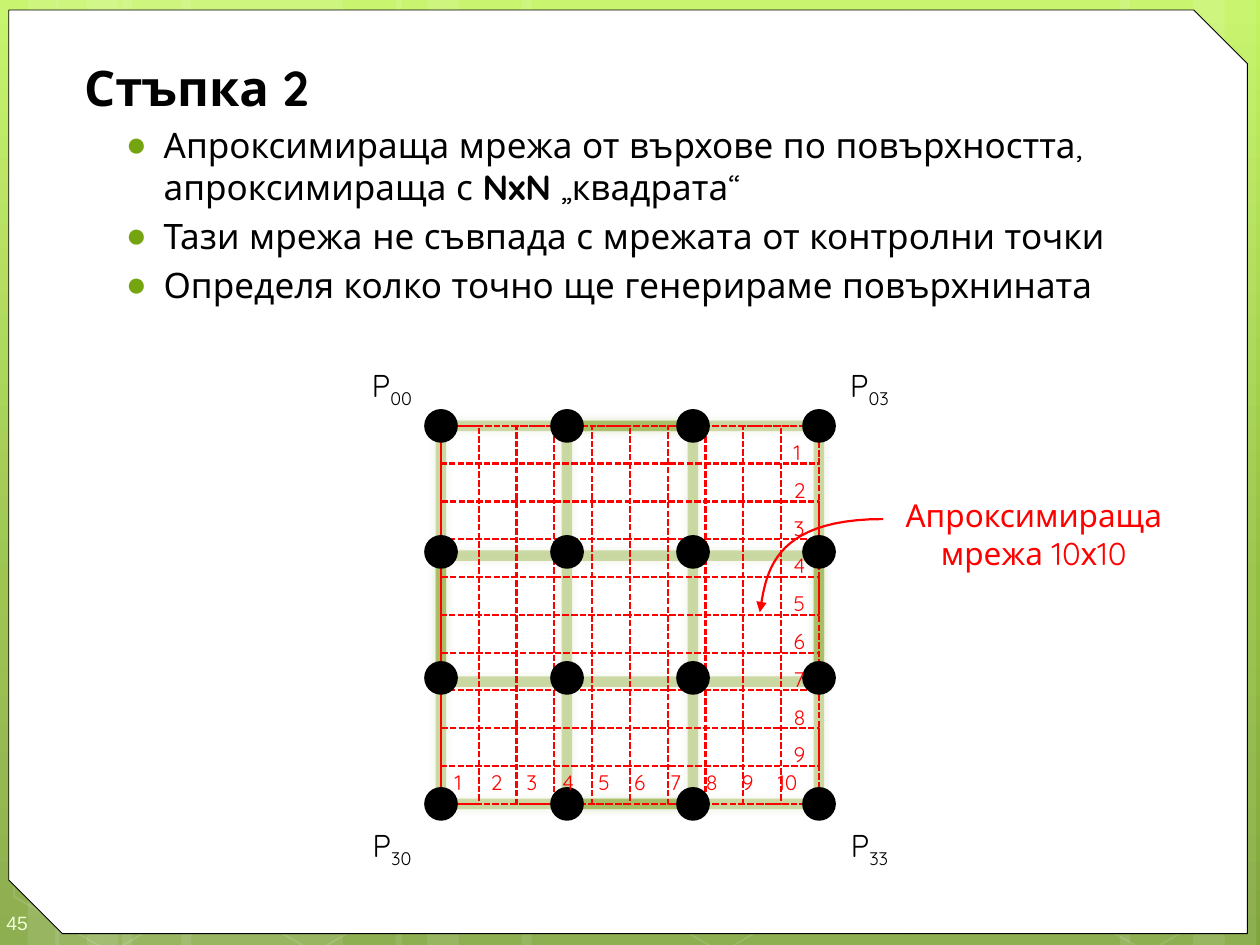
"""Build a slide on the approximating mesh of a surface patch."""
from copy import deepcopy

from lxml.etree import SubElement
from pptx import Presentation
from pptx.dml.color import RGBColor
from pptx.enum.dml import MSO_LINE
from pptx.enum.shapes import MSO_SHAPE
from pptx.enum.text import MSO_ANCHOR, PP_ALIGN
from pptx.oxml.ns import qn
from pptx.util import Inches, Pt

WHITE = RGBColor(0xFF, 0xFF, 0xFF)
BLACK = RGBColor(0x00, 0x00, 0x00)
RED = RGBColor(0xFF, 0x00, 0x00)
GREEN = RGBColor(0x6F, 0x95, 0x00)
PALE = RGBColor(0xEE, 0xFF, 0xD6)
BACKDROP = [(0, RGBColor(0xC3, 0xF3, 0x5F)), (0.62, RGBColor(0x93, 0xBF, 0x3F)),
            (1, RGBColor(0x81, 0xA5, 0x3E))]
BULLET = "74A510"

deck = Presentation()
deck.slide_width, deck.slide_height = Inches(10), Inches(7.5)
UNIT = deck.slide_width // 100
slide = deck.slides.add_slide(deck.slide_layouts[6])


def draw(kind, left, top, width, height, fill=None, line=None, weight=1.25,
         fill_alpha=100, line_alpha=100, dash=None):
    """Add a preset shape measured in grid units."""
    shape = slide.shapes.add_shape(
        kind, *(round(n * UNIT) for n in (left, top, width, height)))
    shape.shadow.inherit = False
    for paint, color, alpha in ((shape.fill, fill, fill_alpha),
                                (shape.line.fill, line, line_alpha)):
        if color is None:
            paint.background()
            continue
        paint.solid()
        paint.fore_color.rgb = color
        if alpha < 100:
            holder = shape._element.spPr if paint is shape.fill else shape.line._ln
            tone = holder.find(qn("a:solidFill"))[0]
            SubElement(tone, qn("a:alpha"), val=str(alpha * 1000))
    if line is not None:
        shape.line.width = Pt(weight)
        if dash:
            shape.line.dash_style = dash
    return shape


def write(text, left, top, width, height, size=12, color=BLACK, font="Quicksand",
          align=PP_ALIGN.LEFT, wrap=True, spacing=None, accent="bold"):
    """Add text by lines; parts between bars take the accent format."""
    frame = slide.shapes.add_textbox(
        *(round(n * UNIT) for n in (left, top, width, height))).text_frame
    frame.word_wrap = wrap
    for row, content in enumerate(text.split("\n")):
        paragraph = frame.add_paragraph() if row else frame.paragraphs[0]
        paragraph.alignment = align
        if spacing:
            paragraph.line_spacing = spacing
        for turn, part in enumerate(content.split("|")):
            if not part:
                continue
            run = paragraph.add_run()
            run.text = part
            run.font.name, run.font.size = font, Pt(size)
            run.font.color.rgb = color
            if turn % 2 and accent == "bold":
                run.font.bold = True
            elif turn % 2:
                run.font._element.set("baseline", "-25000")
    return frame


backdrop = slide.background.fill
backdrop.gradient()
backdrop.gradient_angle = 270
stops = slide._element.find(".//" + qn("a:gsLst"))
stops.append(deepcopy(stops[-1]))
for stop, (position, color) in zip(backdrop.gradient_stops, BACKDROP):
    stop.position = position
    stop.color.rgb = color

for left, width in ((9.7, 17.5), (0, 4.7), (2.2, 8.3), (14.4, 17.5), (4.4, 5),
                    (6.9, 8.3), (72.2, 17.5), (94.7, 5), (88.9, 8.3),
                    (41.4, 30.8), (31.4, 5), (33.9, 8.3)):
    draw(MSO_SHAPE.RECTANGLE, left, 0, width, 75, fill=WHITE, fill_alpha=10)
for left in (0, 16.2, 48.5, 82.3):
    hexagon = draw(MSO_SHAPE.HEXAGON, left, 59.2, 17.5, 15.2, line=WHITE,
                   weight=1, line_alpha=12)
    hexagon.adjustments[0] = 0.285
    hexagon.rotation = 30

panel = draw(MSO_SHAPE.SNIP_2_DIAG_RECTANGLE, 0.7, 0.8, 98.3, 73.3,
             fill=WHITE, line=BLACK, weight=0.5)
panel.adjustments[0], panel.adjustments[1] = 0, 0.058
number = write("45", 0, 71, 5.8, 4, size=11, color=PALE, font="Arial")
number.vertical_anchor = MSO_ANCHOR.MIDDLE
number.margin_left, number.margin_right = Inches(0.05), 0
number.margin_top, number.margin_bottom = Inches(0.15), Inches(0.1)

MESH_LEFT, MESH_TOP, MESH, PATCH, STEP = 35, 33.8, 30, 10, 3
for left, top, width, height in ((0, 0, MESH, MESH), (PATCH, 0, PATCH, MESH),
                                 (0, PATCH + 0.3, MESH, PATCH)):
    band = draw(MSO_SHAPE.RECTANGLE, MESH_LEFT + left, MESH_TOP + top, width, height,
                line=GREEN, weight=6, line_alpha=30)
    glow = SubElement(band._element.spPr.find(qn("a:effectLst")), qn("a:outerShdw"),
                      blurRad=str(Pt(5)), dist="0", dir="0", algn="ctr", rotWithShape="0")
    glow_color = SubElement(glow, qn("a:srgbClr"), val=str(GREEN))
    SubElement(glow_color, qn("a:alpha"), val="40000")

body = write("|Стъпка 2\n"
             "Апроксимираща мрежа от върхове по повърхността, апроксимираща с "
             "|NxN| „квадрата“\n"
             "Тази мрежа не съвпада с мрежата от контролни точки\n"
             "Определя колко точно ще генерираме повърхнината",
             5, 4.1, 94.2, 70.1, size=20)
heading, *points = body.paragraphs
heading.runs[0].font.size = Pt(28)
heading._p.get_or_add_pPr().set("marL", str(Inches(0.07)))
for point in points:
    layout = point._p.get_or_add_pPr()
    layout.set("marL", str(Inches(0.7)))
    layout.set("indent", str(Inches(-0.3)))
    SubElement(SubElement(layout, qn("a:buClr")), qn("a:srgbClr"), val=BULLET)
    SubElement(layout, qn("a:buFont"), typeface="Arial")
    SubElement(layout, qn("a:buChar"), char="●")
    point.space_before = Pt(4)

for row, top in ((0, 28.6), (3, 65.1)):
    for column, left in ((0, 28.4), (3, 66.3)):
        write(f"P|{row}{column}", left, top, 5.4, 4, size=18, align=PP_ALIGN.CENTER,
              wrap=False, accent="subscript")
write("Апроксимираща\nмрежа 10х10", 69.7, 38.9, 24.7, 7.1, size=18, color=RED,
      align=PP_ALIGN.CENTER, wrap=False)

strips = [(2 * i * STEP, 0, STEP, MESH) for i in range(5)]
strips += [(0, 2 * i * STEP, MESH, STEP) for i in range(5)]
for left, top, width, height in strips + [(0, 0, MESH, MESH)]:
    draw(MSO_SHAPE.RECTANGLE, MESH_LEFT + left, MESH_TOP + top, width, height,
         line=RED, dash=MSO_LINE.SQUARE_DOT)

DOT = 2.5
for row in range(4):
    for column in range(4):
        draw(MSO_SHAPE.OVAL, MESH_LEFT + column * PATCH - DOT / 2,
             MESH_TOP + row * PATCH - DOT / 2, DOT, DOT, fill=BLACK, line=BLACK)

bend = ((70.1, 41.2), (61, 41.2), (60.8, 45.8), (60.3, 48.6))
trail = []
for i in range(25):
    t = i / 24
    weights = ((1 - t) ** 3, 3 * t * (1 - t) ** 2, 3 * t * t * (1 - t), t ** 3)
    trail.append(tuple(round(UNIT * sum(w * p[axis] for w, p in zip(weights, bend)))
                       for axis in (0, 1)))
builder = slide.shapes.build_freeform(*trail[0])
builder.add_line_segments(trail[1:], close=False)
pointer = builder.convert_to_shape()
pointer.shadow.inherit = False
pointer.fill.background()
pointer.line.color.rgb = RED
pointer.line.width = Pt(1.25)
SubElement(pointer.line._ln, qn("a:tailEnd"), type="triangle")

columns = write("\t".join(str(i) for i in range(1, 11)), 35.1, 60.6, 30.8, 3, color=RED)
tabs = SubElement(columns.paragraphs[0]._p.get_or_add_pPr(), qn("a:tabLst"))
for i in range(1, 10):
    SubElement(tabs, qn("a:tab"), pos=str(round(i * 2.85 * UNIT)), algn="l")
write("\n".join(str(i) for i in range(1, 10)), 62, 33.4, 5.5, 28.3, color=RED, spacing=1.5)

deck.save("out.pptx")
